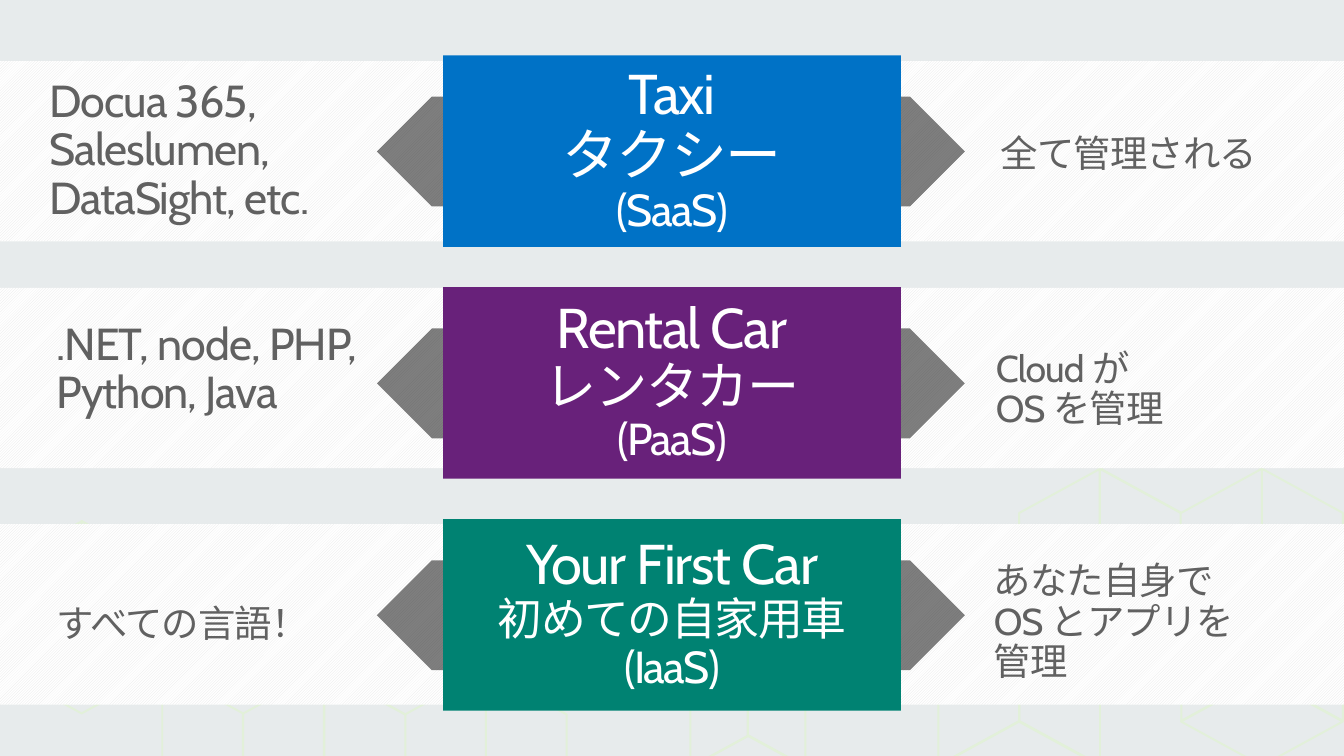
import pptx
import pptx.dml.color
import pptx.enum.dml
import pptx.enum.shapes
import pptx.enum.text
import pptx.oxml.ns
import pptx.util
from lxml import etree

Pt = pptx.util.Pt
RGBColor = pptx.dml.color.RGBColor
qn = pptx.oxml.ns.qn
SHAPES = pptx.enum.shapes.MSO_SHAPE
ALIGN = pptx.enum.text.PP_ALIGN

BACKGROUND = RGBColor(0xE7, 0xEB, 0xEC)
CUBE_LINE = RGBColor(0xE2, 0xF0, 0xD9)
STRIPE = RGBColor(0xE6, 0xE6, 0xE6)
WHITE = RGBColor(0xFF, 0xFF, 0xFF)
BLACK = RGBColor(0x00, 0x00, 0x00)
GRAY = RGBColor(0x61, 0x61, 0x61)
BLUE = RGBColor(0x00, 0x72, 0xC6)
PURPLE = RGBColor(0x68, 0x21, 0x7A)
GREEN = RGBColor(0x00, 0x82, 0x72)

SLIDE_WIDTH = 960
ROW_PITCH = 165.6
CARD_TOP, ARROW_TOP = 39.6, 69


def add_block(slide, kind, left, top, width, height):
    """Add a preset shape without outline or shadow."""
    shape = slide.shapes.add_shape(kind, Pt(left), Pt(top), Pt(width), Pt(height))
    shape.shadow.inherit = False
    shape.line.fill.background()
    return shape


def write_text(shape, paragraphs, color, spacing, alignment, insets):
    """Write paragraphs, each a list of (line, size) parted by line breaks."""
    frame = shape.text_frame
    frame.word_wrap = True
    frame.margin_left, frame.margin_top, frame.margin_right, frame.margin_bottom = map(Pt, insets)
    for number, lines in enumerate(paragraphs):
        paragraph = frame.add_paragraph() if number else frame.paragraphs[0]
        paragraph.alignment = alignment
        paragraph.line_spacing = 0.9
        for position, (line, size) in enumerate(lines):
            if position:
                paragraph.add_line_break()
            run = paragraph.add_run()
            run.text = line
            run.font.name = "Cabin"
            run.font.size = Pt(size)
            run.font.color.rgb = color
            run.font._element.set("spc", str(spacing))


presentation = pptx.Presentation()
presentation.slide_width = Pt(SLIDE_WIDTH)
presentation.slide_height = Pt(540)
slide = presentation.slides.add_slide(presentation.slide_layouts[6])
slide.background.fill.solid()
slide.background.fill.fore_color.rgb = BACKGROUND

# Cube faces behind the bands: corner offsets in cube widths, slopes and sides
FACES = {
    "falling": [(0, 0, 0), (1, 1, 0), (1, 1, 1), (0, 0, 1)],
    "rising": [(0, 0, 0), (1, -1, 0), (1, -1, 1), (0, 0, 1)],
    "top": [(0, 0, 0), (1, 1, 0), (0, 2, 0), (-1, 1, 0)],
}
CUBES = [
    ("rising", 670.3, 472.3, 1), ("falling", 727.9, 440.6, 1), ("top", 727.9, 515.5, 1),
    ("rising", 727.9, 366.5, 1), ("falling", 785.5, 334.8, 1), ("top", 843.8, 303.1, 1),
    ("rising", 843.8, 440.6, 1), ("falling", 901.4, 409, 1), ("top", 901.4, 483.8, 1),
    ("falling", 901.4, 334.8, 1), ("rising", 173.5, 509.8, 1), ("falling", 115.9, 478.1, 1),
    ("falling", 58.3, 372.2, 1), ("rising", 0.7, 403.9, 1), ("top", 58.3, 446.4, 1),
    ("falling", 231.8, 478.8, 1), ("top", 289.4, 447.1, 1), ("falling", 347, 478.8, 1),
    ("rising", 493.2, 495.4, 0.71), ("falling", 534.2, 472.3, 0.71), ("top", 534.2, 525.6, 0.71),
]
for face, left, top, scale in CUBES:
    corners = [
        (Pt(left + 57.8 * scale * across), Pt(top + scale * (31.6 * slope + 74.3 * side)))
        for across, slope, side in FACES[face]
    ]
    builder = slide.shapes.build_freeform(*corners[0], scale=1.0)
    builder.add_line_segments(corners[1:], close=True)
    cube = builder.convert_to_shape()
    cube.shadow.inherit = False
    cube.fill.background()
    cube.line.color.rgb = CUBE_LINE
    cube.line.width = Pt(1.38)

# Each row: band top, card colour, card text, then left and right notes
# as (left, top, width, height, paragraphs)
ROWS = [
    (43.6, BLUE,
     [[("Taxi", 40), ("タクシー", 40), ("(SaaS)", 32)]],
     (24.5, 34.6, 299.5, 126.7,
      [[("Docua 365,", 32), ("Saleslumen,", 32)], [("DataSight, etc.", 32)]]),
     (650.2, 74.9, 290.9, 51.1, [[("全て管理される", 26.7)]])),
    (205.6, PURPLE,
     [[("Rental Car", 40), ("レンタカー", 37.3)], [("(PaaS)", 32)]],
     (29.5, 208.1, 261.4, 91.4,
      [[(".NET, node, PHP,", 32), ("Python, Java", 32)]]),
     (646.6, 228.2, 290.9, 79.9, [[("Cloud が", 26.7)], [("OS を管理", 26.7)]])),
    (374.4, GREEN,
     [[("Your First Car", 40), ("初めての自家用車", 32)], [("(IaaS)", 32)]],
     (29.5, 410.4, 235.4, 51.1, [[("すべての言語！", 26.7)]]),
     (645.1, 380.2, 314.6, 108.7,
      [[("あなた自身で", 26.7), ("OS とアプリを", 26.7)], [("管理", 26.7)]])),
]

for row, (band_top, card_color, card_text, left_note, right_note) in enumerate(ROWS):
    # Striped band, in two halves
    for left in (0, SLIDE_WIDTH / 2):
        band = add_block(slide, SHAPES.RECTANGLE, left, band_top, SLIDE_WIDTH / 2, 128.9)
        band.fill.patterned()
        band.fill.pattern = pptx.enum.dml.MSO_PATTERN.DARK_UPWARD_DIAGONAL
        band.fill.fore_color.rgb = STRIPE
        band.fill.back_color.rgb = WHITE

    # Notes on both sides
    for (left, top, width, height, paragraphs), indent in ((left_note, 10.8), (right_note, 64.8)):
        note = slide.shapes.add_textbox(Pt(left), Pt(top), Pt(width), Pt(height))
        write_text(note, paragraphs, GRAY, -70, ALIGN.LEFT, (indent, 21.6, 0, 0))
        note.text_frame.auto_size = pptx.enum.text.MSO_AUTO_SIZE.SHAPE_TO_FIT_TEXT

    # Half-transparent arrows pointing outwards
    for left, flipped in ((269.3, True), (589.2, False)):
        arrow = add_block(slide, SHAPES.PENTAGON, left, ARROW_TOP + row * ROW_PITCH, 100, 78.5)
        arrow.fill.solid()
        arrow.fill.fore_color.rgb = BLACK
        properties = arrow._element.spPr
        color = properties.find(qn("a:solidFill")).find(qn("a:srgbClr"))
        etree.SubElement(color, qn("a:alpha")).set("val", "50000")
        if flipped:
            properties.find(qn("a:xfrm")).set("flipH", "1")

    # Card in the middle
    card = add_block(slide, SHAPES.RECTANGLE, 316.6, CARD_TOP + row * ROW_PITCH, 327, 136.8)
    card.fill.solid()
    card.fill.fore_color.rgb = card_color
    card.text_frame.vertical_anchor = pptx.enum.text.MSO_ANCHOR.MIDDLE
    write_text(card, card_text, WHITE, -100, ALIGN.CENTER, (7.2, 7.2, 7.2, 7.2))

presentation.save("out.pptx")
